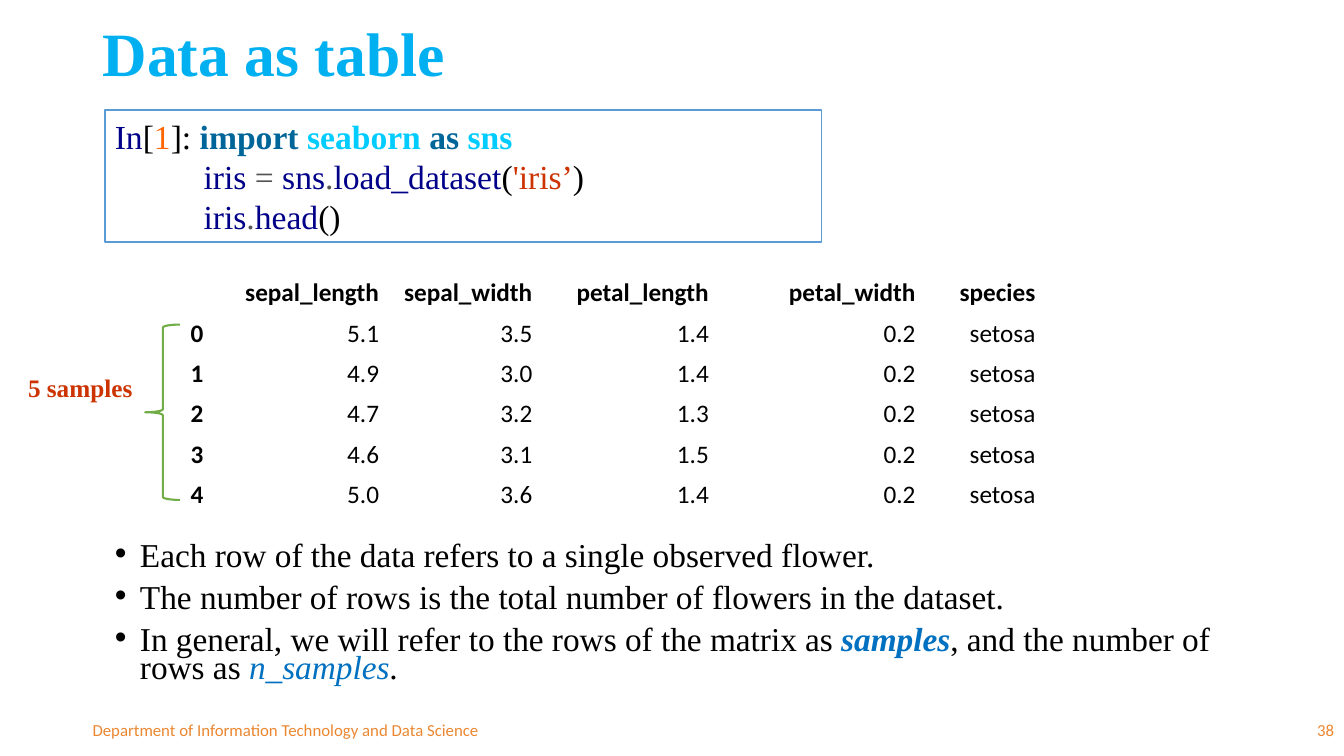
"""Build the slide that shows the iris data as a table."""
from lxml import etree
from pptx import Presentation
from pptx.dml.color import RGBColor
from pptx.enum.shapes import MSO_SHAPE
from pptx.enum.text import MSO_ANCHOR, PP_ALIGN
from pptx.oxml.ns import qn
from pptx.util import Inches, Pt

LEFT, RIGHT = PP_ALIGN.LEFT, PP_ALIGN.RIGHT
TOP, MIDDLE = MSO_ANCHOR.TOP, MSO_ANCHOR.MIDDLE
RECTANGLE, LEFT_BRACE = MSO_SHAPE.RECTANGLE, MSO_SHAPE.LEFT_BRACE

BLACK = RGBColor(0x00, 0x00, 0x00)
WHITE = RGBColor(0xFF, 0xFF, 0xFF)
SKY = RGBColor(0x00, 0xB0, 0xF0)
BLUE = RGBColor(0x00, 0x70, 0xC0)
ORANGE = RGBColor(0xEB, 0x87, 0x31)
GREEN = RGBColor(0x70, 0xAD, 0x47)
FRAME = RGBColor(0x5B, 0x9B, 0xD5)
NAVY = RGBColor(0x00, 0x00, 0x88)
NUMBER = RGBColor(0xFF, 0x66, 0x00)
KEYWORD = RGBColor(0x00, 0x66, 0x99)
MODULE = RGBColor(0x00, 0xCC, 0xFF)
OPERATOR = RGBColor(0x55, 0x55, 0x55)
RED = RGBColor(0xCC, 0x33, 0x00)

SERIF, SANS = "Times New Roman", "Calibri"

CODE = [
    [("In", NAVY), ("[", BLACK), ("1", NUMBER), ("]: ", BLACK),
     ("import ", KEYWORD, True), ("seaborn ", MODULE, True),
     ("as ", KEYWORD, True), ("sns", MODULE, True)],
    [("iris ", NAVY), ("= ", OPERATOR), ("sns", NAVY), (".", OPERATOR),
     ("load_dataset", NAVY), ("(", BLACK), ("'iris’", RED), (")", BLACK)],
    [("iris", NAVY), (".", OPERATOR), ("head", NAVY), ("()", BLACK)],
]
BULLETS = [
    [("Each row of the data refers to a single observed flower.", BLACK)],
    [("The number of rows is the total number of flowers in the dataset.", BLACK)],
    [("In general, we will refer to the rows of the matrix as ", BLACK),
     ("samples", BLUE, True, True), (", and the number of rows as ", BLACK),
     ("n_samples", BLUE, False, True), (".", BLACK)],
]
COLUMN_WIDTHS = [0.49, 1.58, 1.52, 1.75, 2.05, 1.19]
ROW_HEIGHT = 0.4
IRIS = [
    ["", "sepal_length", "sepal_width", "petal_length", "petal_width", "species"],
    ["0", "5.1", "3.5", "1.4", "0.2", "setosa"],
    ["1", "4.9", "3.0", "1.4", "0.2", "setosa"],
    ["2", "4.7", "3.2", "1.3", "0.2", "setosa"],
    ["3", "4.6", "3.1", "1.5", "0.2", "setosa"],
    ["4", "5.0", "3.6", "1.4", "0.2", "setosa"],
]


def add_run(p, font, size, text, color, bold=False, italic=False):
    """Append one formatted run to a paragraph."""
    r = p.add_run()
    r.text = text
    r.font.name, r.font.size = font, Pt(size)
    r.font.bold, r.font.italic = bold, italic
    r.font.color.rgb = color


def fill_text(tf, lines, font, size, align=LEFT, anchor=TOP):
    """Write lines of runs into a text frame and return the paragraphs."""
    tf.vertical_anchor = anchor
    for i, runs in enumerate(lines):
        p = tf.add_paragraph() if i else tf.paragraphs[0]
        p.alignment = align
        for run in runs:
            add_run(p, font, size, *run)
    return tf.paragraphs


def add_text(s, box, lines, font, size, align=LEFT, anchor=TOP, wrap=True):
    """Add a text box and return its paragraphs."""
    tf = s.shapes.add_textbox(*map(Inches, box)).text_frame
    tf.word_wrap = wrap
    return fill_text(tf, lines, font, size, align, anchor)


def add_outline(s, kind, box, color, width):
    """Add an unfilled preset shape with a coloured outline."""
    sp = s.shapes.add_shape(kind, *map(Inches, box))
    sp.shadow.inherit = False
    sp.fill.background()
    sp.line.color.rgb = color
    sp.line.width = Pt(width)
    return sp


def add_code(s, box, lines):
    """Add the framed code cell, with the later lines indented."""
    sp = add_outline(s, RECTANGLE, box, FRAME, 1)
    sp.fill.solid()
    sp.fill.fore_color.rgb = WHITE
    sp.text_frame.word_wrap = True
    for p in fill_text(sp.text_frame, lines, SERIF, 24, anchor=MIDDLE)[1:]:
        p._p.get_or_add_pPr().set("indent", str(Inches(0.88)))


def add_bullets(s, box, lines):
    """Add a bulleted list with tight lines."""
    for p in add_text(s, box, lines, SERIF, 23.8):
        p.line_spacing = 0.7
        p.space_before = Pt(10)
        pPr = p._p.get_or_add_pPr()
        pPr.set("marL", str(Inches(0.25)))
        pPr.set("indent", str(Inches(-0.25)))
        etree.SubElement(pPr, qn("a:buFont")).set("typeface", "Arial")
        etree.SubElement(pPr, qn("a:buChar")).set("char", "•")


def add_data_table(s, left, top, rows):
    """Add a plain table with a bold header row and index column."""
    box = (left, top, sum(COLUMN_WIDTHS), ROW_HEIGHT * len(rows))
    table = s.shapes.add_table(len(rows), len(COLUMN_WIDTHS), *map(Inches, box)).table
    table.first_row = table.horz_banding = False
    for column, width in zip(table.columns, COLUMN_WIDTHS):
        column.width = Inches(width)
    for i, row in enumerate(rows):
        table.rows[i].height = Inches(ROW_HEIGHT)
        for j, text in enumerate(row):
            cell = table.cell(i, j)
            cell.fill.background()
            cell.vertical_anchor = MIDDLE
            cell.margin_top = cell.margin_bottom = Inches(0.03)
            if text:
                p = cell.text_frame.paragraphs[0]
                p.alignment = RIGHT if j else LEFT
                add_run(p, SANS, 18, text, BLACK, i == 0 or j == 0)


def main():
    """Build and save the slide."""
    prs = Presentation()
    prs.slide_width, prs.slide_height = Inches(13.33), Inches(7.5)
    s = prs.slides.add_slide(prs.slide_layouts[6])

    title = add_text(s, (0.92, 0.03, 11.5, 1.07), [[("Data as table", SKY, True)]],
                     SERIF, 44, anchor=MIDDLE)
    title[0].line_spacing = 0.9
    add_bullets(s, (1.04, 5.36, 11.5, 1.93), BULLETS)
    add_text(s, (0.82, 7.09, 4.5, 0.4),
             [[("Department of Information Technology and Data Science", ORANGE)]], SANS, 12)
    add_text(s, (10.33, 7.09, 3, 0.4), [[("38", ORANGE)]], SANS, 12, RIGHT)
    add_outline(s, LEFT_BRACE, (1.44, 3.22, 0.35, 1.74), GREEN, 1.5)
    add_text(s, (0.18, 3.64, 1.25, 0.4), [[("5 samples", RED, True)]], SERIF, 18, wrap=False)
    add_code(s, (1.04, 1.09, 7.11, 1.31), CODE)
    add_data_table(s, 1.79, 2.71, IRIS)

    prs.save("out.pptx")


if __name__ == "__main__":
    main()
